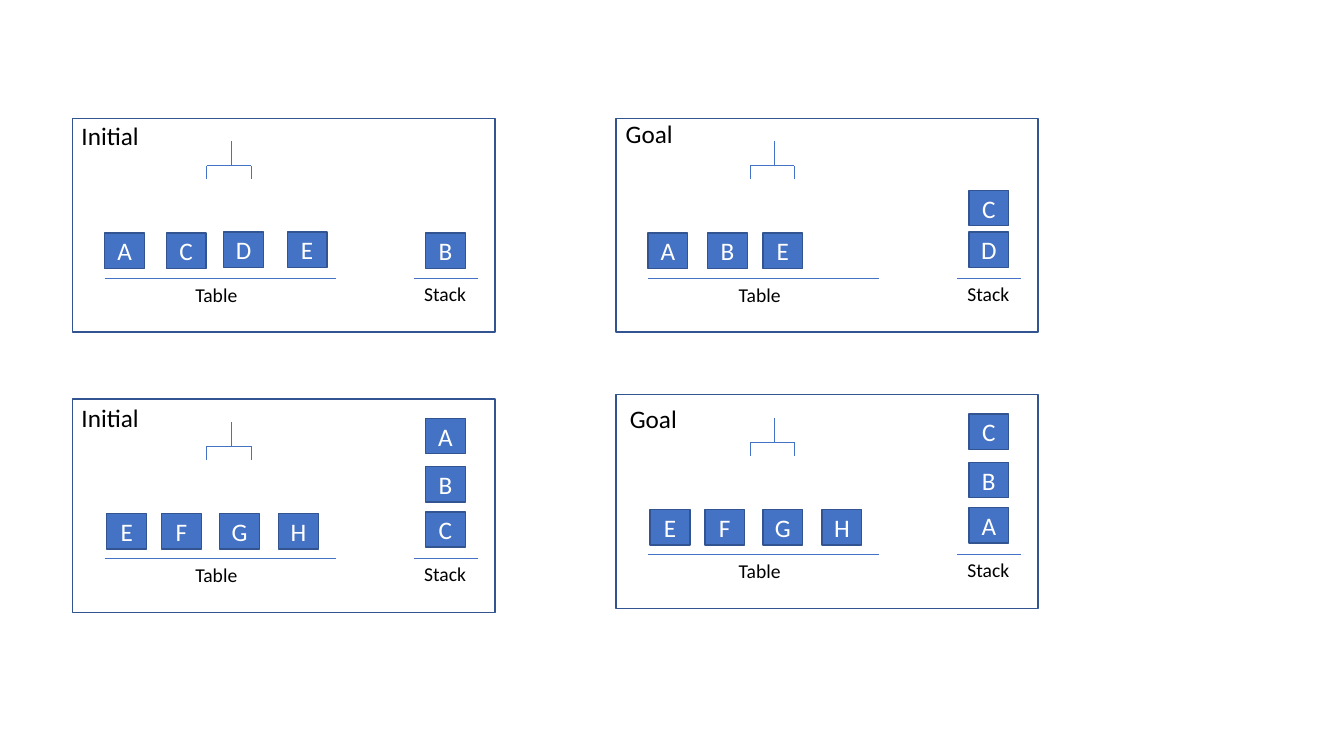
from lxml import etree
from pptx import Presentation
from pptx.dml.color import RGBColor
from pptx.enum import shapes, text
from pptx.oxml import ns
from pptx.util import Pt

BLUE = RGBColor(0x44, 0x72, 0xC4)
DARK_BLUE = RGBColor(0x32, 0x54, 0x91)
WHITE = RGBColor(0xFF, 0xFF, 0xFF)
BLACK = RGBColor(0, 0, 0)

PANEL_W, PANEL_H = 301.7, 152.6
BLOCK_W, BLOCK_H = 28.4, 25.2
GROUND_Y = 114.2
STACK_X = 252.2


def add_rect(s, x, y, w, h, fill=None):
    sp = s.shapes.add_shape(shapes.MSO_SHAPE.RECTANGLE,
                            Pt(x), Pt(y), Pt(w), Pt(h))
    sp.shadow.inherit = False
    if fill is None:
        sp.fill.background()
    else:
        sp.fill.solid()
        sp.fill.fore_color.rgb = fill
    sp.line.color.rgb = DARK_BLUE
    sp.line.width = Pt(1)
    return sp


def set_text(tf, words, size, color):
    tf.word_wrap = False
    p = tf.paragraphs[0]
    p.text = words
    p.font.name = "Calibri"
    p.font.size = Pt(size)
    p.font.color.rgb = color
    return p


def add_label(s, words, x, y, w, h, size):
    tf = s.shapes.add_textbox(Pt(x), Pt(y), Pt(w), Pt(h)).text_frame
    set_text(tf, words, size, BLACK)
    tf.auto_size = text.MSO_AUTO_SIZE.SHAPE_TO_FIT_TEXT


def add_block(s, letter, x, y):
    tf = add_rect(s, x, y, BLOCK_W, BLOCK_H, BLUE).text_frame
    tf.vertical_anchor = text.MSO_ANCHOR.MIDDLE
    p = set_text(tf, letter, 18, WHITE)
    p.alignment = text.PP_ALIGN.CENTER


def add_line(parent, x1, y1, x2, y2):
    line = parent.shapes.add_connector(shapes.MSO_CONNECTOR.STRAIGHT,
                                       Pt(x1), Pt(y1), Pt(x2), Pt(y2))
    line.line.color.rgb = BLUE
    line.line.width = Pt(0.5)
    etree.SubElement(line._element.spPr, ns.qn("a:effectLst"))


def add_gripper(s, x, y):
    """Arm above a bar with two fingers, 31.8 wide and 27 high."""
    group = s.shapes.add_group_shape()
    width, bar_y, tip_y = 31.8, y + 17.5, y + 27
    add_line(group, x + 17.7, y, x + 17.7, bar_y)
    add_line(group, x, bar_y, x + width, bar_y)
    for finger_x in (x + width, x):
        add_line(group, finger_x, bar_y, finger_x, tip_y)


def add_panel(s, left, top, title, table, stack):
    """One state; title, table and stack hold offsets within the panel."""
    add_rect(s, left, top, PANEL_W, PANEL_H)
    # Ground lines and their names
    for name, x1, x2, label_x, label_y in (("Table", 23, 187.9, 80.6, 113.8),
                                           ("Stack", 244, 289.4, 244, 113)):
        add_line(s, left + x1, top + GROUND_Y, left + x2, top + GROUND_Y)
        add_label(s, name, left + label_x, top + label_y, 44.6, 24.2, 14)
    add_gripper(s, left + 95.8, top + 16.4)
    # Blocks
    for letter, x, y in table:
        add_block(s, letter, left + x, top + y)
    for letter, y in stack:
        add_block(s, letter, left + STACK_X, top + y)
    # Title
    words, x, y, w = title
    add_label(s, words, left + x, top + y, w, 28.8, 18)


prs = Presentation()
prs.slide_width, prs.slide_height = Pt(960), Pt(540)
s = prs.slides.add_slide(prs.slide_layouts[6])

INITIAL_X, GOAL_X = 51.8, 439.9
FULL_TABLE = [("E", 24.5, 82), ("F", 63.6, 82),
              ("G", 105.1, 82), ("H", 147.3, 82)]

# First problem
add_panel(s, INITIAL_X, 84.5, ("Initial", -0.7, -2.2, 56.2),
          [("A", 23, 82), ("C", 67, 82), ("D", 108, 81.2), ("E", 153.4, 81.2)],
          [("B", 82)])
add_panel(s, GOAL_X, 84.5, ("Goal", 0, -3.4, 48.2),
          [("A", 23, 82), ("B", 65.5, 82), ("E", 105.1, 82)],
          [("C", 51.6), ("D", 81.2)])

# Second problem
add_panel(s, INITIAL_X, 285, ("Initial", -0.7, -1.4, 56.2),
          FULL_TABLE, [("A", 13.8), ("B", 48.3), ("C", 80.6)])
add_panel(s, GOAL_X, 282, ("Goal", 2.9, 2.4, 48.2),
          FULL_TABLE, [("C", 13.8), ("B", 48.3), ("A", 80.6)])

prs.save("out.pptx")
